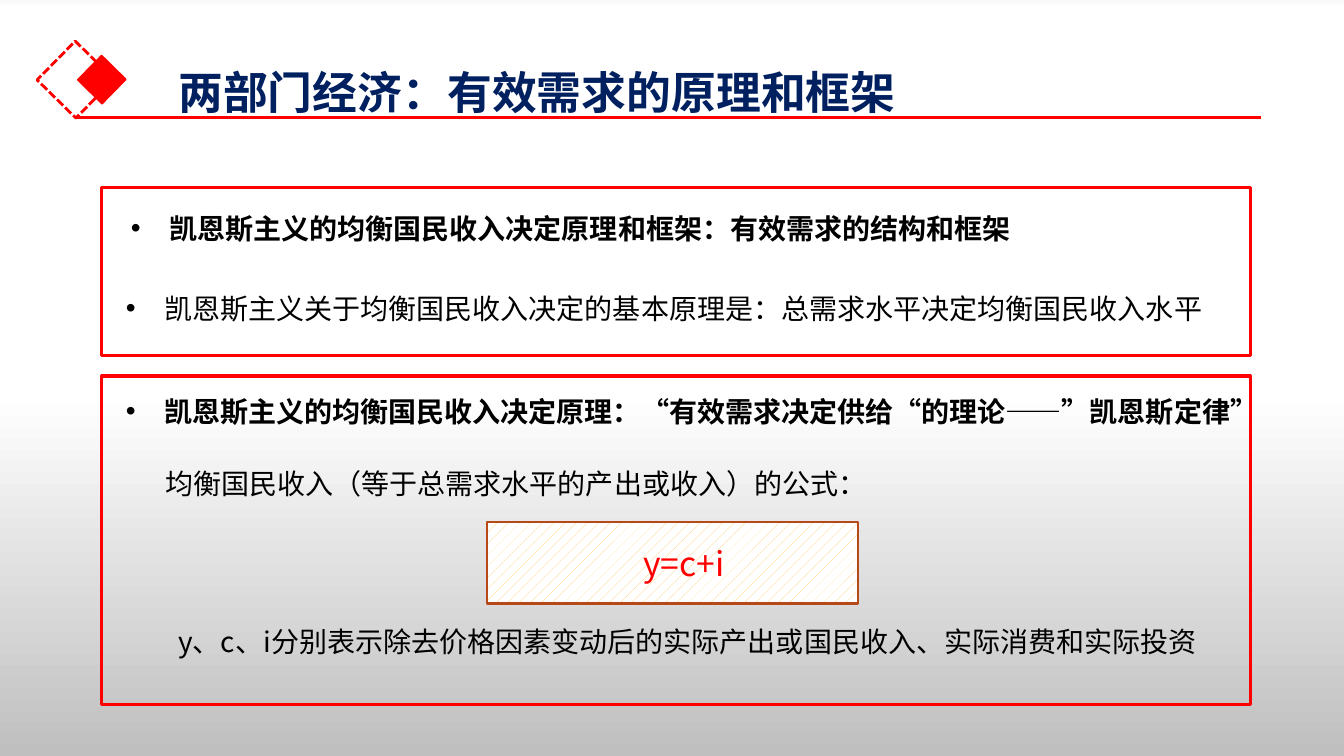
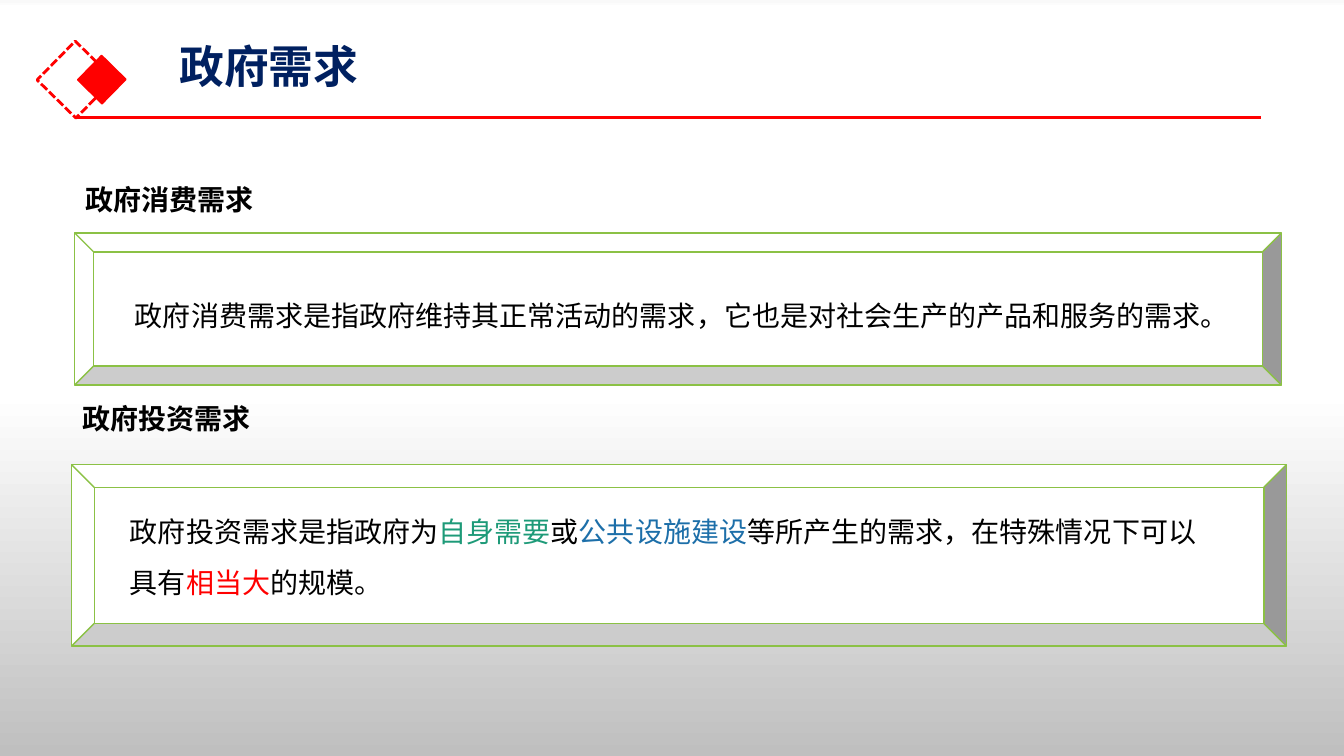
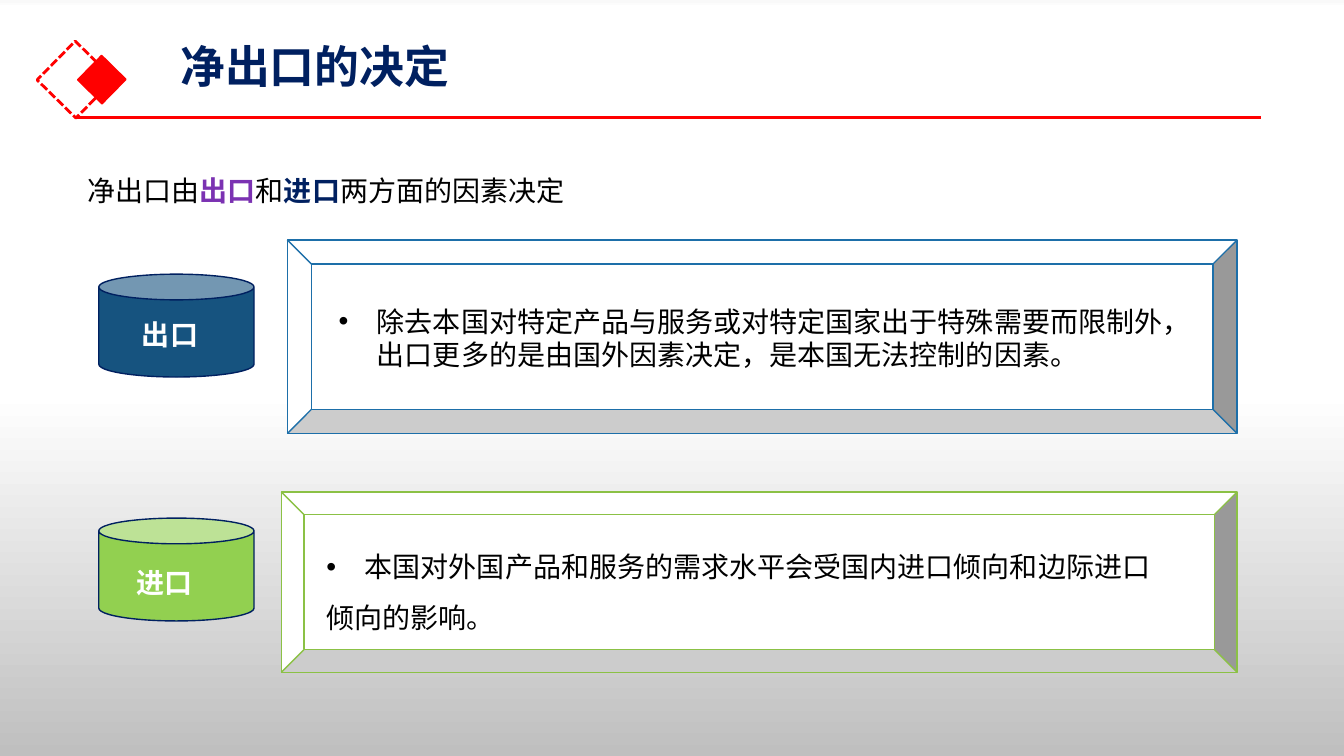
from lxml import etree
from pptx import Presentation
from pptx.dml.color import RGBColor
from pptx.enum import dml, shapes, text
from pptx.oxml.ns import qn
from pptx.util import Inches, Pt

FONT = "Noto Sans CJK SC"
RED, NAVY, BLACK, WHITE = "FF0000", "002060", "000000", "FFFFFF"
GREEN, BLUE, TEAL, PURPLE = "8BC145", "1D6FA9", "1D9A78", "7B32B2"
STOPS = [(0, "F9F9F9"), (1, WHITE), (52, WHITE), (100, "BFBFBF")]
KIND = shapes.MSO_SHAPE


def color(code):
    return RGBColor.from_string(code)


def sub(parent, tag, **attrs):
    return etree.SubElement(parent, qn(tag), **attrs)


def draw(slide, kind, box, fill=None, line=RED, width=1):
    shape = slide.shapes.add_shape(kind, *map(Inches, box))
    shape.shadow.inherit = False
    if fill:
        shape.fill.solid()
        shape.fill.fore_color.rgb = color(fill)
    else:
        shape.fill.background()
    shape.line.color.rgb = color(line)
    shape.line.width = Pt(width)
    return shape


def style(run, size, code, bold):
    run.font.size = Pt(size)
    run.font.bold = bold
    run.font.name = FONT
    run.font.color.rgb = color(code)
    sub(run._r.get_or_add_rPr(), "a:ea", typeface=FONT)


def fill_para(para, parts, size, code, bold, space, bullet):
    if isinstance(parts, str):
        parts = [(parts, code, bold)]
    for words, tint, heavy in parts:
        run = para.add_run()
        run.text = words
        style(run, size, tint, heavy)
    para.line_spacing = space
    if bullet:
        props = para._p.get_or_add_pPr()
        props.set("marL", str(Inches(0.38)))
        props.set("indent", str(-Inches(0.38)))
        sub(props, "a:buFont", typeface="Arial")
        sub(props, "a:buChar", char="•")


def write(slide, box, *paras, size=20, code=BLACK, bold=False, space=1.0,
          bullet=False, wrap=False, anchor=text.MSO_ANCHOR.TOP):
    frame = slide.shapes.add_textbox(*map(Inches, box)).text_frame
    frame.word_wrap = wrap
    frame.auto_size = text.MSO_AUTO_SIZE.SHAPE_TO_FIT_TEXT
    frame.vertical_anchor = anchor
    for i, parts in enumerate(paras):
        para = frame.add_paragraph() if i else frame.paragraphs[0]
        fill_para(para, parts, size, code, bold, space, bullet and i == 0)


def paint_back(layout):
    fill = layout.background.fill
    fill.gradient()
    fill.gradient_angle = 270
    stops = layout.element.find(".//" + qn("a:gsLst"))
    for old in list(stops):
        stops.remove(old)
    for place, code in STOPS:
        stop = sub(stops, "a:gs", pos=str(place * 1000))
        sub(stop, "a:srgbClr", val=code)


def add_head(slide, title, left, top):
    frame = draw(slide, KIND.RECTANGLE, (0.48, 0.52, 0.54, 0.54), width=2)
    frame.line.dash_style = dml.MSO_LINE.SQUARE_DOT
    core = draw(slide, KIND.RECTANGLE, (0.84, 0.62, 0.34, 0.34), RED)
    for shape in (frame, core):
        shape.rotation = 314.5
    rule = slide.shapes.add_connector(
        shapes.MSO_CONNECTOR.STRAIGHT,
        *map(Inches, (0.75, 1.17, 12.51, 1.17)))
    rule.line.color.rgb = color(RED)
    rule.line.width = Pt(2.25)
    sub(rule._element.spPr, "a:effectLst")
    write(slide, (left, top, 11.5, 0.58), title, size=32, code=NAVY,
          bold=True, space=0.9, wrap=True, anchor=text.MSO_ANCHOR.MIDDLE)


def add_frame(slide, left, top, width, height):
    draw(slide, KIND.RECTANGLE, (left, top, width, height), width=2.25)


def add_point(slide, left, top, width, words, bold=False, bullet=True):
    write(slide, (left, top, width, 0.44), words, bold=bold, bullet=bullet)


def add_basis(slide, left, top):
    add_frame(slide, left, top, 11.39, 1.67)
    add_point(slide, left + 0.19, top + 0.19, 9,
              "凯恩斯主义的均衡国民收入决定原理和框架：有效需求的结构和框架", True)
    add_point(slide, left + 0.14, top + 0.98, 10.96,
              "凯恩斯主义关于均衡国民收入决定的基本原理是：总需求水平决定均衡国民收入水平")


def add_law(slide, left, top):
    add_frame(slide, left, top, 11.39, 3.26)
    add_point(slide, left + 0.14, top + 0.13, 11.57,
              "凯恩斯主义的均衡国民收入决定原理：“有效需求决定供给“的理论——”凯恩斯定律”",
              True)
    add_point(slide, left + 0.53, top + 0.85, 7.21,
              "均衡国民收入（等于总需求水平的产出或收入）的公式：", bullet=False)
    plate = draw(slide, KIND.RECTANGLE, (left + 3.82, top + 1.45, 3.68, 0.81),
                 line="B74919", width=1.75)
    plate.fill.patterned()
    plate.fill.pattern = dml.MSO_PATTERN.PERCENT_10
    plate.fill.fore_color.rgb = color("FFCC66")
    plate.fill.back_color.rgb = color(WHITE)
    write(slide, (left + 5.27, top + 1.61, 1.14, 0.5), "y=c+i",
          size=24, code=RED)
    add_point(slide, left + 0.66, top + 2.42, 10.66,
              "y、c、i分别表示除去价格因素变动后的实际产出或国民收入、实际消费和实际投资",
              bullet=False)


def add_panel(slide, box, inset, paras, line=GREEN, space=1.5, bullet=False):
    draw(slide, KIND.BEVEL, box, WHITE, line)
    left, top, width, height = inset
    write(slide, (box[0] + left, box[1] + top, width, height), *paras,
          space=space, bullet=bullet, wrap=True)


def add_can(slide, left, top, fill, label, inset):
    draw(slide, KIND.CAN, (left, top, 1.54, 1.02), fill, NAVY)
    right, down, width = inset
    write(slide, (left + right, top + down, width, 0.44), label,
          code=WHITE, bold=True)


def show_frame(slide):
    add_head(slide, "两部门经济：有效需求的原理和框架", 1.67, 0.65)
    add_basis(slide, 1.01, 1.86)
    add_law(slide, 1.01, 3.73)


def show_state(slide):
    add_head(slide, "政府需求", 1.68, 0.39)
    add_point(slide, 0.75, 1.76, 1.87, "政府消费需求", True, False)
    add_panel(slide, (0.74, 2.31, 11.97, 1.51), (0.5, 0.44, 10.98, 0.55),
              ["政府消费需求是指政府维持其正常活动的需求，它也是对社会生产的产品和服务的需求。"])
    add_point(slide, 0.72, 3.93, 1.87, "政府投资需求", True, False)
    add_panel(slide, (0.71, 4.61, 12.05, 1.8), (0.48, 0.28, 10.88, 1.11), [[
        ("政府投资需求是指政府为", BLACK, False),
        ("自身需要", TEAL, False),
        ("或", BLACK, False),
        ("公共设施建设", BLUE, False),
        ("等所产生的需求，在特殊情况下可以具有", BLACK, False),
        ("相当大", RED, False),
        ("的规模。", BLACK, False)]])


def show_trade(slide):
    add_head(slide, "净出口的决定", 1.69, 0.39)
    write(slide, (0.77, 1.51, 8.76, 0.6), [
        ("净出口由", BLACK, False),
        ("出口", PURPLE, True),
        ("和", BLACK, False),
        ("进口", NAVY, True),
        ("两方面的因素决定", BLACK, False)], space=1.5, wrap=True)
    add_can(slide, 0.98, 2.72, "16537F", "出口", (0.33, 0.38, 0.85))
    add_panel(slide, (2.85, 2.38, 9.42, 1.92), (0.41, 0.59, 8.59, 0.77),
              ["除去本国对特定产品与服务或对特定国家出于特殊需要而限制外，"
               "出口更多的是由国外因素决定，是本国无法控制的因素。"],
              BLUE, 1.0, True)
    add_can(slide, 0.98, 5.14, "92D050", "进口", (0.28, 0.42, 0.76))
    add_panel(slide, (2.79, 4.88, 9.48, 1.79), (0.35, 0.36, 9.37, 1.11),
              ["本国对外国产品和服务的需求水平会受国内进口倾向和边际进口",
               "倾向的影响。"], bullet=True)


def main():
    deck = Presentation()
    deck.slide_width, deck.slide_height = Inches(13.33), Inches(7.5)
    blank = deck.slide_layouts[6]
    paint_back(blank)
    for show in (show_frame, show_state, show_trade):
        show(deck.slides.add_slide(blank))
    deck.save("out.pptx")


if __name__ == "__main__":
    main()
